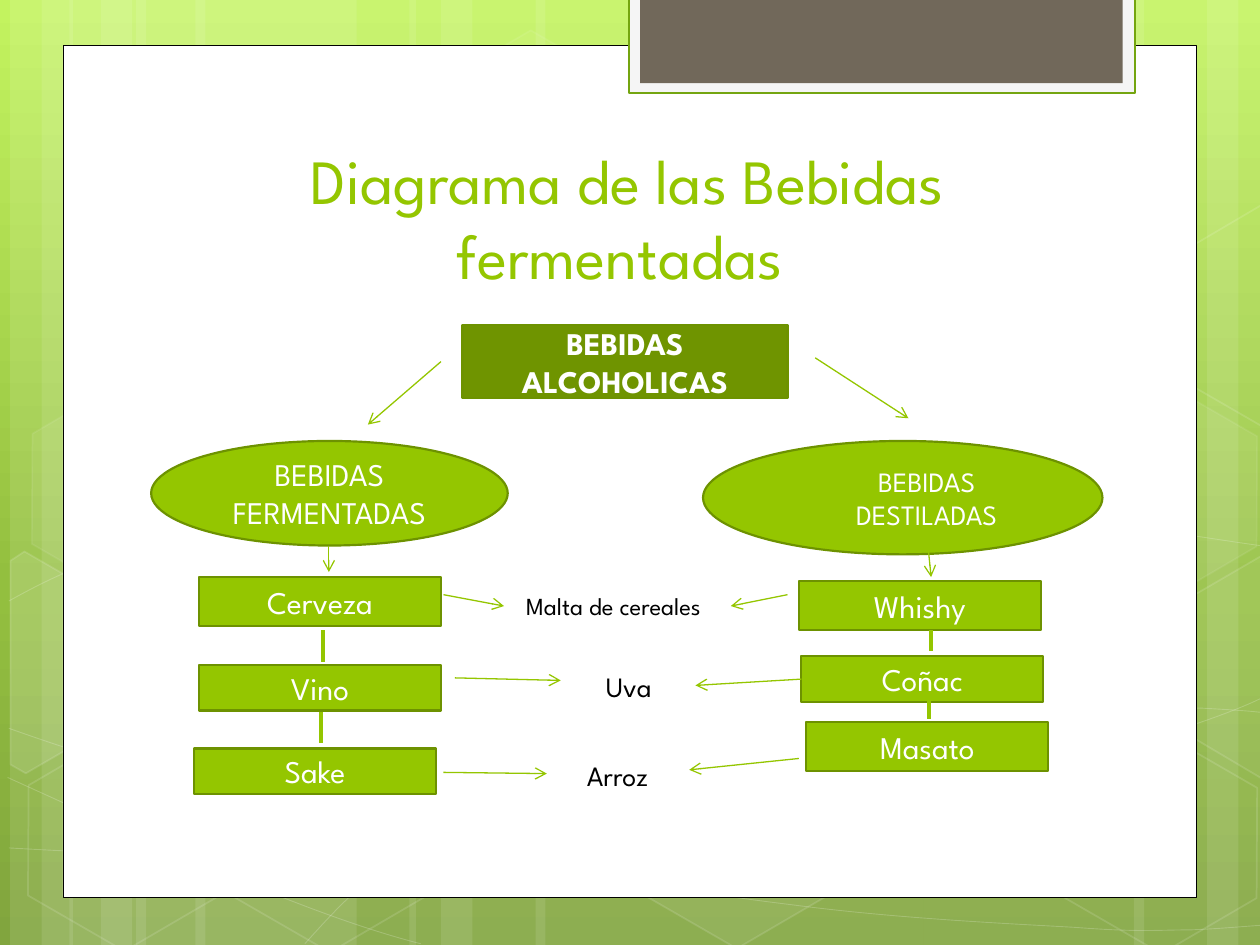
import pptx
import pptx.util
import pptx.dml.color
import pptx.enum.shapes
import pptx.enum.text
import pptx.oxml
import pptx.oxml.ns
import copy
import math

PX = 9144
FONT = "League Spartan"
COLORS = {
    "top": "C3F35F", "mid": "93BF3F", "bottom": "81A53E",
    "white": "FFFFFF", "black": "000000", "lime": "94C600",
    "olive": "6F9400", "edge": "6D9200", "tab": "71685A",
    "tab_rim": "F5F5F5", "tab_edge": "74A510",
}
RECT = pptx.enum.shapes.MSO_SHAPE.RECTANGLE
OVAL = pptx.enum.shapes.MSO_SHAPE.OVAL
HEXAGON = pptx.enum.shapes.MSO_SHAPE.HEXAGON
ANCHOR = pptx.enum.text.MSO_ANCHOR
qn = pptx.oxml.ns.qn

BARS = [(108, 175), (8, 50), (33, 83), (155, 175), (55, 50), (80, 83),
        (733, 175), (958, 50), (900, 83), (425, 308), (325, 50), (350, 83)]
WAVES = [
    [(7, 673), (61, 676), (115, 679), (190, 678), (265, 677), (358, 675), (458, 665),
     (558, 655), (700, 636), (792, 617), (883, 598), (977, 568), (1007, 551)],
    [(7, 477), (36, 461), (65, 446), (121, 431), (178, 416), (259, 394), (347, 387),
     (436, 380), (544, 379), (654, 387), (764, 395), (947, 426), (1007, 434)],
    [(6, 617), (127, 672), (247, 727), (334, 749)],
    [(7, 578), (38, 589), (70, 600), (128, 616), (186, 631), (273, 656), (357, 673),
     (440, 690), (545, 708), (628, 718), (711, 729), (800, 733), (853, 736),
     (905, 740), (919, 738), (945, 738), (971, 737), (989, 735), (1007, 734)],
    [(242, 749), (260, 729), (278, 709), (302, 691), (326, 673), (360, 653), (388, 639),
     (416, 625), (433, 619), (470, 609), (506, 599), (573, 585), (608, 578),
     (644, 571), (649, 571), (680, 569), (711, 566), (760, 563), (794, 562),
     (829, 561), (886, 562), (886, 562), (886, 562), (953, 562), (953, 562),
     (971, 563), (988, 564), (997, 565), (1006, 566), (1003, 565), (1006, 566)],
]
HEXAGONS = [(334, 36, 4, 8), (497, 589, 6, 12), (11, 591, 0, 12), (14, 312, 7, 8),
            (174, 592, 0, 12), (753, 453, 10, 12), (834, 593, 0, 12), (834, 314, 7, 8)]
CUT_HEXAGONS = [
    ([(8, 445), (19, 438), (96, 482), (95, 570), (20, 614), (8, 607)], (36, 535), 10),
    ([(926, 485), (1001, 441), (1009, 446), (1009, 613), (1002, 617), (926, 573)],
     (985, 520), 4),
    ([(926, 207), (1001, 163), (1010, 168), (1009, 335), (1002, 339), (926, 295)],
     (985, 241), 0),
]


def rgb(name):
    return pptx.dml.color.RGBColor.from_string(COLORS[name])


def set_alpha(shape, tag, percent):
    color = shape.element.spPr.find(tag + "/" + qn("a:srgbClr"))
    color.append(pptx.oxml.parse_xml(
        f'<a:alpha {pptx.oxml.ns.nsdecls("a")} val="{percent * 1000}"/>'))


def style(shape, fill=None, line=None, width=1.25, fill_alpha=100, line_alpha=100):
    shape.shadow.inherit = False
    if fill:
        shape.fill.solid()
        shape.fill.fore_color.rgb = rgb(fill)
        if fill_alpha < 100:
            set_alpha(shape, qn("a:solidFill"), fill_alpha)
    else:
        shape.fill.background()
    if line:
        shape.line.color.rgb = rgb(line)
        shape.line.width = pptx.util.Pt(width)
        if line_alpha < 100:
            set_alpha(shape, qn("a:ln") + "/" + qn("a:solidFill"), line_alpha)
    else:
        shape.line.fill.background()


def add_box(s, kind, x, y, w, h, **look):
    sp = s.shapes.add_shape(kind, x * PX, y * PX, w * PX, h * PX)
    style(sp, **look)
    return sp


def write(sp, text, size=18, color="white", bold=False, anchor=ANCHOR.MIDDLE, indent=0):
    tf = sp.text_frame
    tf.word_wrap = True
    tf.vertical_anchor = anchor
    p = tf.paragraphs[0]
    p.alignment = pptx.enum.text.PP_ALIGN.CENTER
    if indent:
        p._p.get_or_add_pPr().set("marL", str(indent * PX))
    r = p.add_run()
    r.text = text
    r.font.name = FONT
    r.font.size = pptx.util.Pt(size)
    r.font.bold = bold
    r.font.color.rgb = rgb(color)


def add_label(s, text, x, y, w, h, **look):
    write(s.shapes.add_textbox(x * PX, y * PX, w * PX, h * PX), text, **look)


def add_line(s, x, y, ends, width=0.75, arrow=True):
    x1, y1, x2, y2 = ends
    c = s.shapes.add_connector(
        pptx.enum.shapes.MSO_CONNECTOR.STRAIGHT,
        (x + x1) * PX, (y + y1) * PX, (x + x2) * PX, (y + y2) * PX)
    c.line.color.rgb = rgb("lime")
    c.line.width = pptx.util.Pt(width)
    ns = pptx.oxml.ns.nsdecls("a")
    if arrow:
        c.line._get_or_add_ln().append(pptx.oxml.parse_xml(f'<a:tailEnd {ns} type="arrow"/>'))
    c.element.spPr.append(pptx.oxml.parse_xml(f"<a:effectLst {ns}/>"))


def add_outline(s, x, y, points, close, **look):
    points = [(x + px, y + py) for px, py in points]
    builder = s.shapes.build_freeform(*points[0], scale=PX)
    builder.add_line_segments(points[1:], close=close)
    sp = builder.convert_to_shape()
    style(sp, **look)
    return sp


def bend(sp):
    outline = sp.element.find(".//" + qn("a:path"))
    segments = outline.findall(qn("a:lnTo"))
    for i in range(0, len(segments), 3):
        curve = pptx.oxml.parse_xml(f'<a:cubicBezTo {pptx.oxml.ns.nsdecls("a")}/>')
        for segment in segments[i:i + 3]:
            curve.append(segment[0])
            outline.remove(segment)
        outline.append(curve)


def turn(points, center, degrees):
    cx, cy = center
    cos, sin = math.cos(math.radians(degrees)), math.sin(math.radians(degrees))
    return [(round(cx + (px - cx) * cos - (py - cy) * sin),
             round(cy + (px - cx) * sin + (py - cy) * cos)) for px, py in points]


def paint_background(s):
    fill = s.background.fill
    fill.gradient()
    fill.gradient_angle = 270
    stops = s.element.find(".//" + qn("a:gsLst"))
    stops.insert(1, copy.deepcopy(stops[0]))
    for stop, (position, name) in zip(
            fill.gradient_stops, [(0, "top"), (0.62, "mid"), (1, "bottom")]):
        stop.position = position
        stop.color.rgb = rgb(name)


def draw_backdrop(s, x, y, w, h):
    for left, width in BARS:
        add_box(s, RECT, x + left, y, width, h, fill="white", fill_alpha=10)
    for wave in WAVES:
        bend(add_outline(s, x, y, wave, False, line="white", width=0.5, line_alpha=20))
    for left, top, fill_alpha, line_alpha in HEXAGONS:
        sp = add_box(s, HEXAGON, x + left, y + top, 175, 152,
                     fill="white" if fill_alpha else None, fill_alpha=fill_alpha,
                     line="white", width=1, line_alpha=line_alpha)
        sp.adjustments[0] = 0.285
        sp.rotation = 30
    for points, center, fill_alpha in CUT_HEXAGONS:
        sp = add_outline(s, x, y, turn(points, center, -30), True,
                         fill="white" if fill_alpha else None, fill_alpha=fill_alpha,
                         line="white", width=1, line_alpha=12)
        sp.rotation = 30


def draw_panel(s, x, y, w, h):
    add_box(s, RECT, x, y, w, h, fill="white", line="black", width=0.5)
    add_box(s, RECT, x + 449, y - 38, 402, 76, fill="tab_rim", line="tab_edge")
    add_box(s, RECT, x + 458, y - 38, 383, 68, fill="tab")


def draw_root(s, x, y, w, h):
    sp = add_box(s, RECT, x + 75, y, 258, 58, fill="olive", line="edge")
    write(sp, "BEBIDAS ALCOHOLICAS", bold=True)
    add_line(s, x, y, (58, 29, 0, h))
    add_line(s, x, y, (355, 26, w, 74))


def draw_family(s, x, y, w, h, heading, drinks, stems, arrow, size=18, indent=0):
    sp = add_box(s, OVAL, x, y, w, h, fill="lime", line="edge")
    write(sp, heading, size=size, indent=indent)
    for name, left, top, height in drinks:
        sp = add_box(s, RECT, x + left, y + top, 192, height, fill="lime", line="edge")
        write(sp, name)
    add_line(s, x, y, arrow)
    for left, top, bottom in stems:
        add_line(s, x, y, (left, top, left, bottom), width=2.25, arrow=False)


def draw_ingredients(s, x, y, w, h):
    rows = [
        ("Malta de cereales", 33, 1, 208, 14, (2, 12, 50, 21), (275, 12, 230, 21)),
        ("Uva", 53, 65, 192, 16, (11, 78, 95, 80), (286, 79, 202, 84)),
        ("Arroz", 44, 136, 192, 16, (2, 153, 84, 154), (284, 142, 197, 151)),
    ]
    for text, left, top, width, size, *arrows in rows:
        add_label(s, text, x + left, y + top, width, 39, size=size, color="black")
        for ends in arrows:
            add_line(s, x, y, ends)


def main():
    prs = pptx.Presentation()
    prs.slide_width, prs.slide_height = 1000 * PX, 750 * PX
    s = prs.slides.add_slide(prs.slide_layouts[6])
    paint_background(s)
    draw_backdrop(s, 0, 0, 1000, 750)
    draw_panel(s, 50, 36, 900, 676)
    add_label(s, "Diagrama de las Bebidas fermentadas ", 114, 112, 768, 125,
              size=36, color="lime", anchor=ANCHOR.BOTTOM)
    draw_root(s, 292, 258, 429, 79)
    draw_family(s, 120, 350, 283, 83, "BEBIDAS FERMENTADAS",
                [("Cerveza", 38, 108, 39), ("Vino", 38, 178, 36), ("Sake", 34, 244, 36)],
                [(136, 150, 175), (135, 215, 240)], (141, 83, 141, 104))
    draw_family(s, 558, 350, 317, 90, "BEBIDAS DESTILADAS",
                [("Whishy", 76, 111, 39), ("Coñac", 78, 171, 36), ("Masato", 82, 223, 39)],
                [(181, 150, 167), (179, 204, 221)], (179, 88, 181, 108),
                size=16, indent=38)
    draw_ingredients(s, 350, 460, 290, 175)
    prs.save("out.pptx")


if __name__ == "__main__":
    main()
